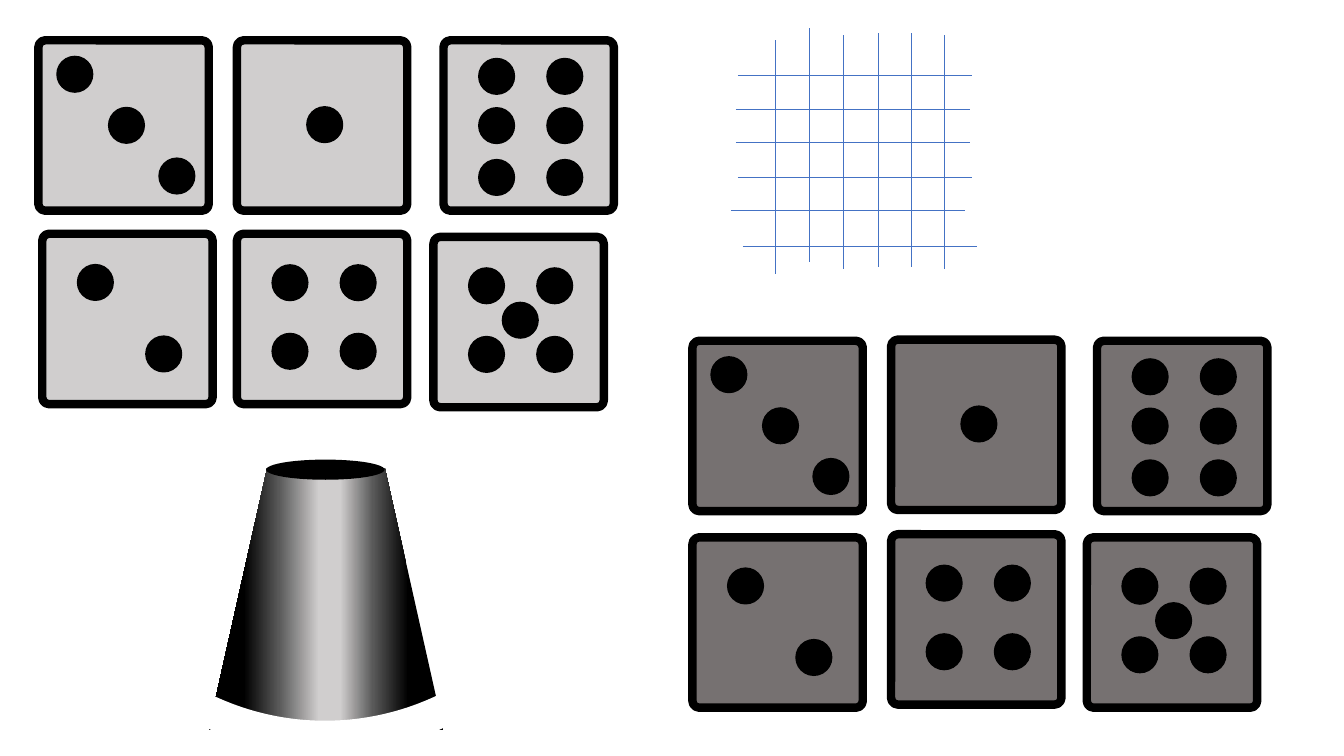
from lxml.etree import SubElement
from pptx import Presentation
from pptx.dml.color import RGBColor as Rgb
from pptx.enum.shapes import MSO_CONNECTOR as Connector, MSO_SHAPE as Shape
from pptx.oxml.ns import qn
from pptx.util import Pt

COLORS = {
    "black": "000000",
    "white": "FFFFFF",
    "light": "D0CECE",
    "dark": "767171",
    "shade": "595959",
    "grid": "4472C4",
}

DIE_SIZE, PIP_SIZE = 121.7, 25.5
GRID_LENGTH = 167.2

# Top left corner of each pip, measured from the corner of its die
CORNERS = [(x, y) for x in (25.2, 73.9) for y in (22.2, 71.2)]
PIPS = {
    1: [(50, 47.5)],
    2: [(25.2, 22), (74, 73.1)],
    3: [(13.3, 11.5), (50.2, 48), (86.2, 84.2)],
    4: CORNERS,
    5: CORNERS + [(49.3, 46.8)],
    6: [(x, y) for x in (25.2, 73.9) for y in (13, 48.2, 85.2)],
}

# Top left corner of each die, by the number it shows
LIGHT_DICE = {
    3: (27.4, 28.8), 1: (169.2, 28.8), 6: (316.8, 28.8),
    2: (30.2, 167), 4: (169.2, 167), 5: (309.6, 169.2),
}
DARK_DICE = {
    3: (494.6, 243.4), 1: (636.5, 242.6), 6: (783.6, 243.4),
    2: (494.6, 383.8), 4: (636.5, 381.6), 5: (776.3, 383.8),
}

# Hand-placed start points of the grid lines
ROWS = [(527, 54), (525.6, 77.8), (525.6, 101.5),
        (527, 126.7), (522, 150.5), (530.6, 175.7)]
COLUMNS = [(553.7, 28.8), (578.2, 20.2), (602.6, 25.2),
           (627.1, 23.8), (650.9, 23.8), (674.6, 25.2)]

CUP_STOPS = [(15, "black"), (30, "shade"), (44, "light"),
             (53, "light"), (70, "shade"), (85, "black")]


def color(name):
    return Rgb.from_string(COLORS[name])


def add_form(group, kind, left, top, width, height,
             fill=None, line=None, weight=1):
    form = group.shapes.add_shape(kind, Pt(left), Pt(top), Pt(width), Pt(height))
    form.shadow.inherit = False
    if fill:
        form.fill.solid()
        form.fill.fore_color.rgb = color(fill)
    else:
        form.fill.background()
    if line:
        form.line.color.rgb = color(line)
        form.line.width = Pt(weight)
    else:
        form.line.fill.background()
    return form


def add_die(page, number, left, top, fill):
    die = page.shapes.add_group_shape()
    body = add_form(die, Shape.ROUNDED_RECTANGLE, left, top,
                    DIE_SIZE, DIE_SIZE, fill, "black", 6)
    body.adjustments[0] = 0.04
    for x, y in PIPS[number]:
        add_form(die, Shape.OVAL, left + x, top + y,
                 PIP_SIZE, PIP_SIZE, "black", "black")


def add_grid_line(grid, left, top, across, down):
    rule = grid.shapes.add_connector(Connector.STRAIGHT, Pt(left), Pt(top),
                                     Pt(left + across), Pt(top + down))
    rule.line.color.rgb = color("grid")
    rule.line.width = Pt(0.5)
    SubElement(rule.element.spPr, qn("a:effectLst"))


def add_grid(page):
    grid = page.shapes.add_group_shape()
    for left, top in ROWS:
        add_grid_line(grid, left, top, GRID_LENGTH, 0)
    for left, top in COLUMNS:
        add_grid_line(grid, left, top, 0, GRID_LENGTH)


def set_gradient(form, stops, angle):
    form.fill.gradient()
    form.fill.gradient_angle = angle
    stop_list = form.element.spPr.find(qn("a:gradFill")).find(qn("a:gsLst"))
    for old_stop in list(stop_list):
        stop_list.remove(old_stop)
    for percent, name in stops:
        stop = SubElement(stop_list, qn("a:gs"), pos=str(percent * 1000))
        SubElement(stop, qn("a:srgbClr"), val=COLORS[name])


def add_cup(page):
    cup = page.shapes.add_group_shape()
    side = add_form(cup, Shape.TRAPEZOID, 149, 334.1, 167.8, 187.2)
    set_gradient(side, CUP_STOPS, 180)
    add_form(cup, Shape.OVAL, 190.1, 328.3, 84.6, 14.4, "black")
    # A wide white arc rounds off the foot of the cup
    foot = add_form(cup, Shape.ARC, 33.8, 129.6, 396.7, 396.7,
                    line="white", weight=23)
    foot.rotation = 134.1


def main():
    deck = Presentation()
    deck.slide_width, deck.slide_height = Pt(960), Pt(540)
    page = deck.slides.add_slide(deck.slide_layouts[6])

    # Dice in both shades
    for dice, fill in ((LIGHT_DICE, "light"), (DARK_DICE, "dark")):
        for number, (left, top) in dice.items():
            add_die(page, number, left, top, fill)

    # Grid and cup
    add_grid(page)
    add_cup(page)

    deck.save("out.pptx")


main()
